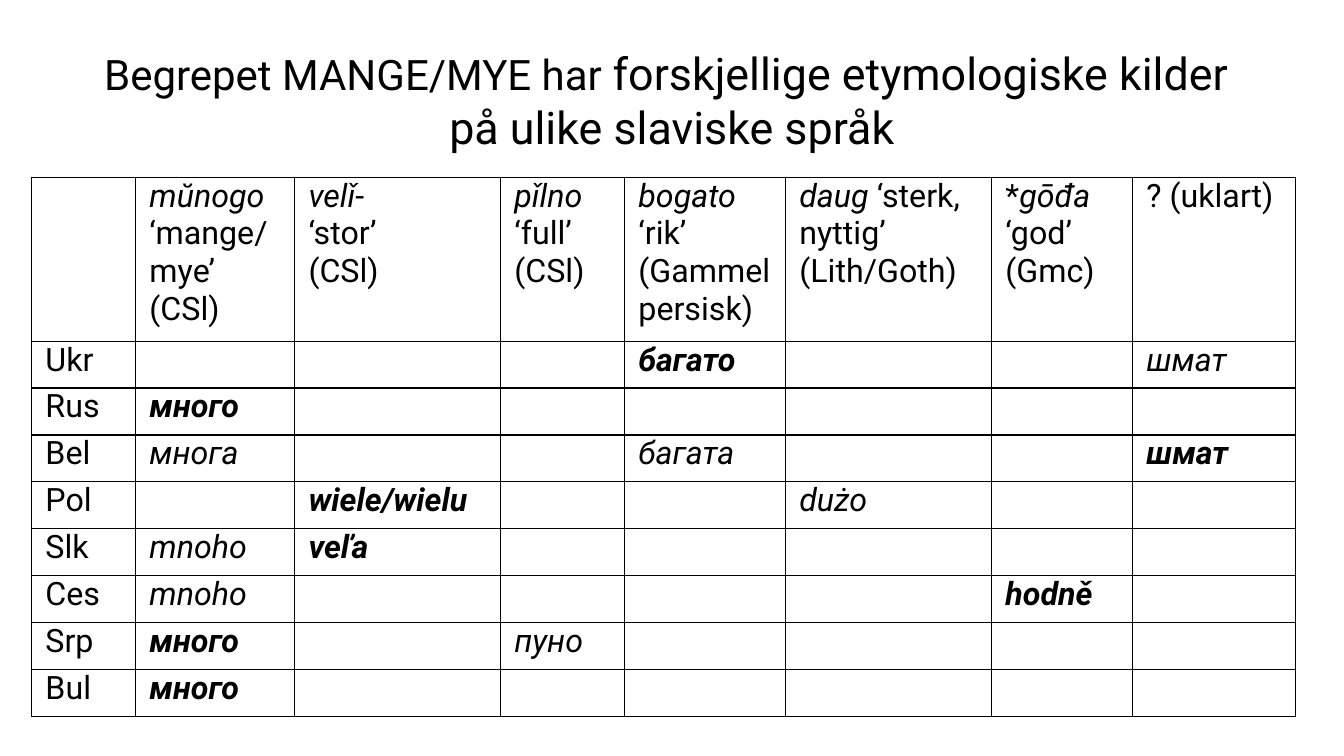
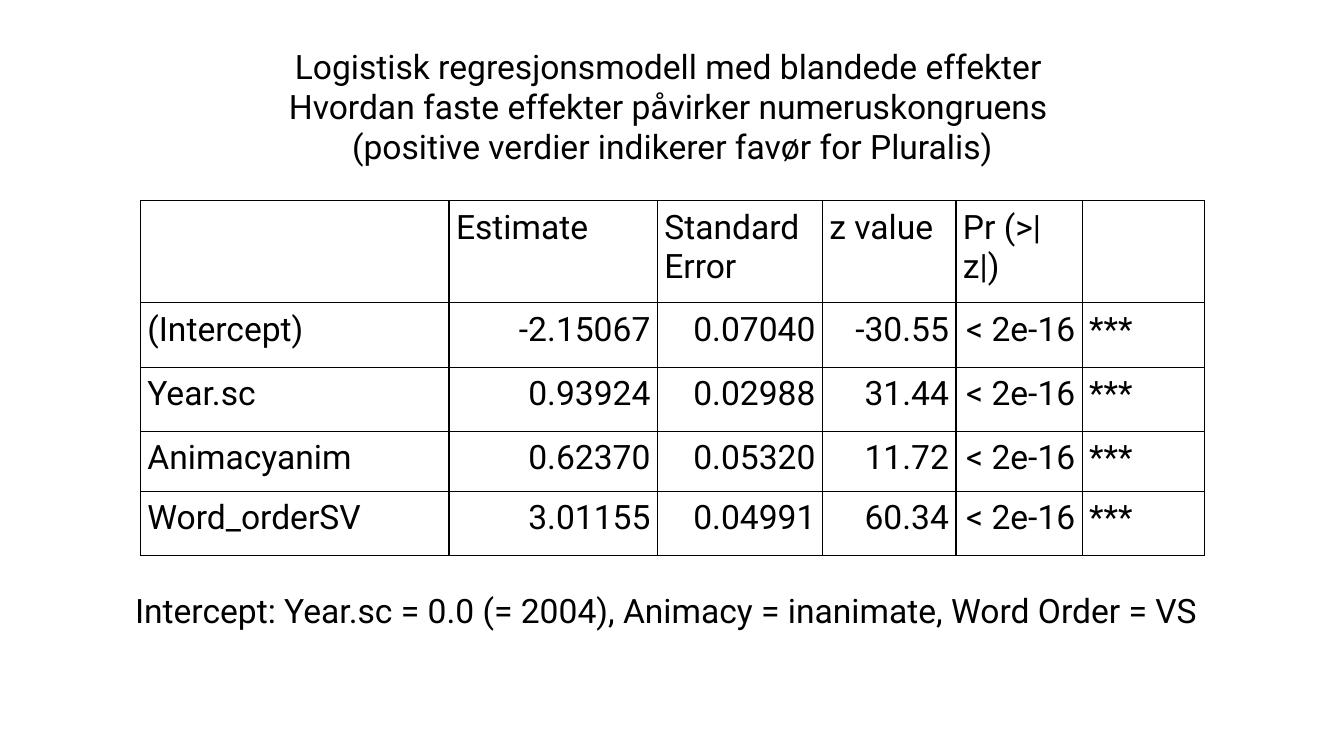
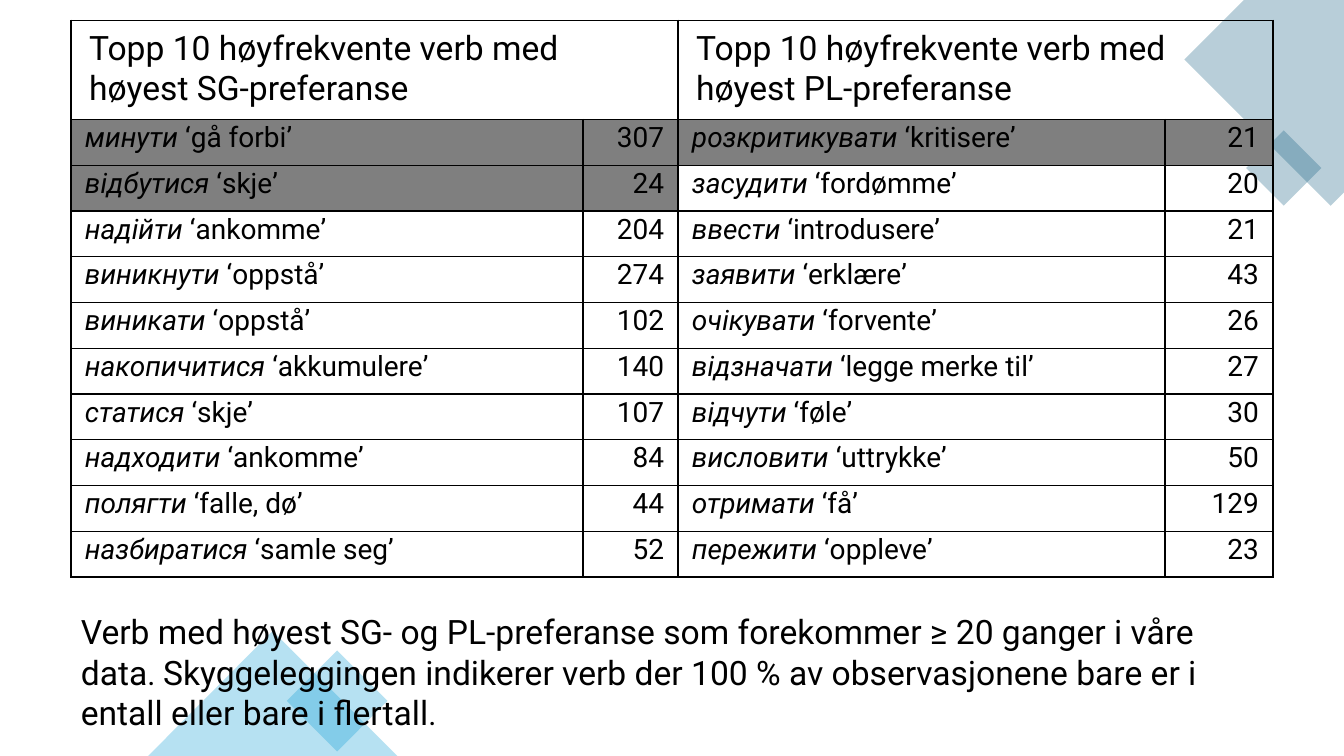
"""Builds three slides on Slavic quantifiers, a regression model and verb preferences."""
from lxml.etree import SubElement
from pptx import Presentation
from pptx.dml.color import RGBColor
from pptx.enum.shapes import MSO_SHAPE as SHAPE
from pptx.enum.text import MSO_AUTO_SIZE as AUTO_SIZE, PP_ALIGN as ALIGN
from pptx.oxml.ns import qn
from pptx.util import Pt

FONT = "Roboto"
BLACK, SHADE, TEAL, SKY = "000000", "7F7F7F", "156082", "0F9ED5"
color = RGBColor.from_string


def write(frame, paragraphs, size, align=ALIGN.LEFT, space_after=0):
    """Fill a text frame with paragraphs made of (text, style, own size) runs."""
    frame.word_wrap = True
    for index, runs in enumerate(paragraphs):
        paragraph = frame.add_paragraph() if index else frame.paragraphs[0]
        paragraph.alignment = align
        paragraph.space_after = Pt(space_after)
        for text, style, *own_size in runs:
            run = paragraph.add_run()
            run.text = text
            run.font.name = FONT
            run.font.size = Pt(own_size[0] if own_size else size)
            run.font.bold = "b" in style
            run.font.italic = "i" in style
            run.font.color.rgb = color(BLACK)


def add_grid(slide, left, top, widths, heights, side, above, below):
    """Add an unfilled table with black cell borders and the given cell margins."""
    grid = slide.shapes.add_table(len(heights), len(widths), Pt(left), Pt(top),
                                  Pt(sum(widths)), Pt(sum(heights))).table
    grid.first_row = grid.horz_banding = False
    for column, width in zip(grid.columns, widths):
        column.width = Pt(width)
    for row, height in zip(grid.rows, heights):
        row.height = Pt(height)
    for cell in grid.iter_cells():
        cell.margin_left = cell.margin_right = Pt(side)
        cell.margin_top, cell.margin_bottom = Pt(above), Pt(below)
        properties = cell._tc.get_or_add_tcPr()
        for edge in ("a:lnL", "a:lnR", "a:lnT", "a:lnB"):
            border = SubElement(properties, qn(edge), w=str(Pt(1)))
            SubElement(SubElement(border, qn("a:solidFill")), qn("a:srgbClr"), val=BLACK)
        cell.fill.background()
    return grid


deck = Presentation()
deck.slide_width, deck.slide_height = Pt(960), Pt(540)
etymology, regression, verbs = [deck.slides.add_slide(deck.slide_layouts[6]) for _ in range(3)]

sources = [
    [],
    [[("mŭnogo", "i")], [("‘mange/mye’", "")], [("(CSl)", "")]],
    [[("velǐ", "i"), ("-", "")], [("‘stor’", "")], [("(CSl)", "")]],
    [[("pǐlno", "i")], [("‘full’", "")], [("(CSl)", "")]],
    [[("bogato", "i")], [("‘rik’", "")], [("(Gammel persisk)", "")]],
    [[("daug", "i"), (" ‘sterk, nyttig’", "")], [("(Lith/Goth)", "")]],
    [[("*", ""), ("gōđa", "i"), (" ‘god’", "")], [("(Gmc)", "")]],
    [[("? (uklart)", "")]],
]
languages = [
    ("Ukr", {4: ("багато", "bi"), 7: ("шмат", "i")}),
    ("Rus", {1: ("много", "bi")}),
    ("Bel", {1: ("многа", "i"), 4: ("багата", "i"), 7: ("шмат", "bi")}),
    ("Pol", {2: ("wiele/wielu", "bi"), 5: ("dużo", "i")}),
    ("Slk", {1: ("mnoho", "i"), 2: ("veľa", "bi")}),
    ("Ces", {1: ("mnoho", "i"), 6: ("hodně", "bi")}),
    ("Srp", {1: ("много", "bi"), 3: ("пуно", "i")}),
    ("Bul", {1: ("много", "bi")}),
]
words = add_grid(etymology, 22.5, 126.5, [74.3, 113.6, 147.1, 88.6, 115, 147.2, 100.7, 116.4],
                 [117.2] + [33.5] * len(languages), 10, 0, 0)
for column, source in enumerate(sources):
    write(words.cell(0, column).text_frame, source, 23)
for row, (language, forms) in enumerate(languages, 1):
    write(words.cell(row, 0).text_frame, [[(language, "")]], 23)
    for column, form in forms.items():
        write(words.cell(row, column).text_frame, [[form]], 23)

effects = [
    ["", "Estimate", "Standard Error", "z value", "Pr (>|z|)", ""],
    ["(Intercept)", "-2.15067", "0.07040", "-30.55", "< 2e-16", "***"],
    ["Year.sc", "0.93924", "0.02988", "31.44", "< 2e-16", "***"],
    ["Animacyanim", "0.62370", "0.05320", "11.72", "< 2e-16", "***"],
    ["Word_orderSV", "3.01155", "0.04991", "60.34", "< 2e-16", "***"],
]
model = add_grid(regression, 100.3, 143.5, [220.5, 148.8, 117.9, 95.4, 90.2, 87.2],
                 [72.8, 46, 46, 43, 45.4], 5, 5, 5)
for row, effect in enumerate(effects):
    for column, value in enumerate(effect):
        if value:
            numeric = row > 0 and 0 < column < 5
            write(model.cell(row, column).text_frame, [[(value, "")]], 24,
                  ALIGN.RIGHT if numeric else ALIGN.LEFT, 8 if row else 0)

outline = verbs.shapes.build_freeform(Pt(960), Pt(0), scale=1.0)
outline.add_line_segments([(Pt(x), Pt(y)) for x, y in
                           [(888.5, 0), (846, 42.5), (950.5, 147), (960, 137.5)]])
corner = outline.convert_to_shape()
decorations = [(corner, TEAL, 0)]
for kind, left, top, width, height, tint, turn in [
        (SHAPE.RECTANGLE, 898, 101, 38, 38, TEAL, 315),
        (SHAPE.RECTANGLE, 215.3, 475.2, 51, 51, SKY, 45),
        (SHAPE.ISOSCELES_TRIANGLE, 105.8, 450.7, 178, 89.3, SKY, 0)]:
    piece = verbs.shapes.add_shape(kind, Pt(left), Pt(top), Pt(width), Pt(height))
    decorations.append((piece, tint, turn))
for piece, tint, turn in decorations:
    piece.shadow.inherit = False
    piece.rotation = turn
    piece.line.fill.background()
    piece.fill.solid()
    piece.fill.fore_color.rgb = color(tint)
    SubElement(piece._element.spPr.find(".//" + qn("a:srgbClr")), qn("a:alpha"), val="30000")

preferences = [
    ("Topp 10 høyfrekvente verb med høyest SG-preferanse", 2, [
        ("минути", "gå forbi", 307), ("відбутися", "skje", 24),
        ("надійти", "ankomme", 204), ("виникнути", "oppstå", 274),
        ("виникати", "oppstå", 102), ("накопичитися", "akkumulere", 140),
        ("статися", "skje", 107), ("надходити", "ankomme", 84),
        ("полягти", "falle, dø", 44), ("назбиратися", "samle seg", 52)]),
    ("Topp 10 høyfrekvente verb med høyest PL-preferanse", 1, [
        ("розкритикувати", "kritisere", 21), ("засудити", "fordømme", 20),
        ("ввести", "introdusere", 21), ("заявити", "erklære", 43),
        ("очікувати", "forvente", 26), ("відзначати", "legge merke til", 27),
        ("відчути", "føle", 30), ("висловити", "uttrykke", 50),
        ("отримати", "få", 129), ("пережити", "oppleve", 23)]),
]
ranking = add_grid(verbs, 50.7, 14.5, [365.7, 67.9, 347.9, 77.1], [70.8] + [32.7] * 10, 10, 1.5, 0)
for half, (heading, shaded_rows, entries) in enumerate(preferences):
    column = 2 * half
    header = ranking.cell(0, column)
    header.merge(ranking.cell(0, column + 1))
    header.margin_left = header.margin_right = Pt(13)
    header.margin_top = header.margin_bottom = Pt(6.5)
    write(header.text_frame, [[(heading, "")]], 24)
    for row, (verb, gloss, count) in enumerate(entries, 1):
        verb_cell, count_cell = ranking.cell(row, column), ranking.cell(row, column + 1)
        write(verb_cell.text_frame, [[(verb, "i"), (f" ‘{gloss}’", "")]], 20)
        write(count_cell.text_frame, [[(str(count), "")]], 20, ALIGN.RIGHT)
        if row <= shaded_rows:
            for cell in (verb_cell, count_cell):
                cell.fill.solid()
                cell.fill.fore_color.rgb = color(SHADE)

captions = [
    (etymology, 51, 29, 858, 85, ALIGN.CENTER, [
        [("Begrepet MANGE/MYE har ", "", 30), ("forskjellige etymologiske kilder ", "", 32)],
        [("på ulike slaviske språk", "", 32)]]),
    (regression, 67, 29, 826.5, 94.5, ALIGN.CENTER, [
        [("Logistisk regresjonsmodell med blandede effekter ", "")],
        [("Hvordan faste effekter påvirker numeruskongruens ", "")],
        [("(positive verdier indikerer favør for Pluralis)", "")]]),
    (regression, 85.5, 417.5, 780.5, 36, ALIGN.CENTER, [
        [("Intercept: Year.sc = 0.0 (= 2004), Animacy = inanimate, Word Order = VS", "")]]),
    (verbs, 50.7, 433, 848, 94.5, ALIGN.LEFT, [
        [("Verb med høyest SG- og PL-preferanse som forekommer ≥ 20 ganger i våre data", ""),
         (". ", "", 22),
         ("Skyggeleggingen indikerer verb der 100 % av observasjonene bare er i entall "
          "eller bare i flertall", ""),
         (".", "", 22)]]),
]
for slide, left, top, width, height, align, paragraphs in captions:
    frame = slide.shapes.add_textbox(Pt(left), Pt(top), Pt(width), Pt(height)).text_frame
    frame.auto_size = AUTO_SIZE.SHAPE_TO_FIT_TEXT
    write(frame, paragraphs, 24, align)

deck.save("out.pptx")
